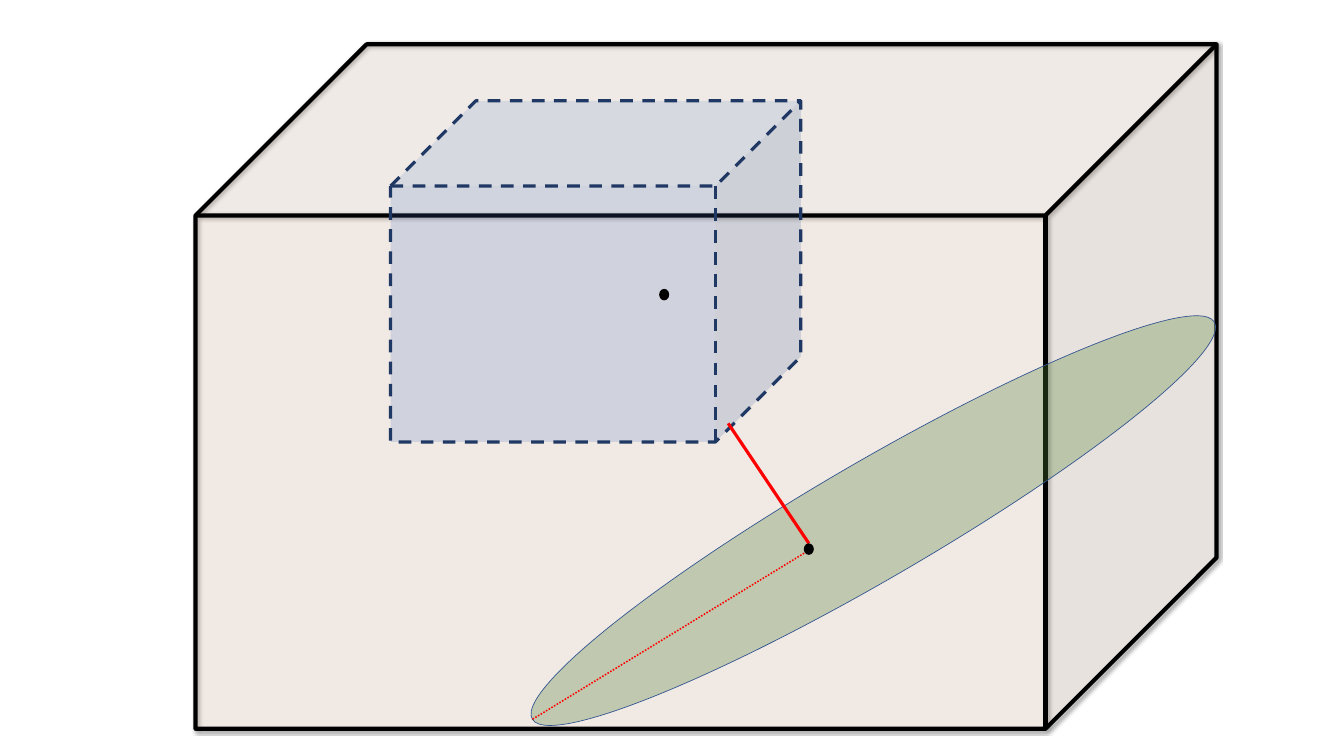
from dataclasses import dataclass

from lxml.etree import SubElement
from pptx import Presentation
from pptx.dml.color import RGBColor
from pptx.enum.dml import MSO_LINE as DASH
from pptx.enum.shapes import MSO_CONNECTOR as CONN, MSO_SHAPE as SHAPE
from pptx.oxml.ns import qn
from pptx.util import Inches, Pt


@dataclass(frozen=True)
class Theme:
    black: str = "000000"
    block: str = "F8CBAD"
    inner: str = "4472C4"
    inner_edge: str = "203864"
    disc: str = "548235"
    disc_edge: str = "325491"
    ray: str = "FF0000"


class Diagram:
    """Draws on one slide; places and sizes are percentages of the slide."""

    def __init__(self, prs, theme):
        self.width, self.height = prs.slide_width, prs.slide_height
        self.theme = theme
        self.slide = prs.slides.add_slide(prs.slide_layouts[6])

    def x(self, share):
        return round(self.width * share / 100)

    def y(self, share):
        return round(self.height * share / 100)

    def stroke(self, line, color, points, dash=None):
        line.color.rgb = RGBColor.from_string(color)
        line.width = Pt(points)
        if dash:
            line.dash_style = dash

    def shape(self, kind, left, top, width, height, fill, opacity=100, edge=None):
        s = self.slide.shapes.add_shape(
            kind, self.x(left), self.y(top), self.x(width), self.y(height))
        s.shadow.inherit = False
        s.fill.solid()
        s.fill.fore_color.rgb = RGBColor.from_string(fill)
        if opacity < 100:
            color = s.element.spPr.find(qn("a:solidFill")).find(qn("a:srgbClr"))
            SubElement(color, qn("a:alpha"), val=str(opacity * 1000))
        if edge:
            self.stroke(s.line, *edge)
        else:
            s.line.fill.background()
        return s

    def cast_shadow(self, s, blur, distance, angle, opacity):
        effects = s.element.spPr.find(qn("a:effectLst"))
        shadow = SubElement(
            effects, qn("a:outerShdw"), blurRad=str(Pt(blur)), dist=str(Pt(distance)),
            dir=str(angle * 60000), algn="tl", rotWithShape="0")
        color = SubElement(shadow, qn("a:srgbClr"), val=self.theme.black)
        SubElement(color, qn("a:alpha"), val=str(opacity * 1000))

    def line(self, start, end, points, dash=None):
        (x1, y1), (x2, y2) = start, end
        c = self.slide.shapes.add_connector(
            CONN.STRAIGHT, self.x(x1), self.y(y1), self.x(x2), self.y(y2))
        self.stroke(c.line, self.theme.ray, points, dash)
        SubElement(c.element.spPr, qn("a:effectLst"))

    def dot(self, x, y, width=0.75, height=1.53):
        self.shape(SHAPE.OVAL, x - width / 2, y - height / 2, width, height,
                   self.theme.black)


def main():
    prs = Presentation()
    prs.slide_width, prs.slide_height = Inches(26.67), Inches(15)
    theme = Theme()
    d = Diagram(prs, theme)

    block = d.shape(SHAPE.CUBE, 14.55, 5.87, 75.97, 90.53, theme.block, 16,
                    (theme.black, 6))
    d.cast_shadow(block, blur=4, distance=3, angle=45, opacity=40)
    d.shape(SHAPE.CUBE, 29.06, 13.33, 30.52, 45.13, theme.inner, 18,
            (theme.inner_edge, 4.5, DASH.DASH))
    disc = d.shape(SHAPE.OVAL, 35.62, 61.13, 58.72, 15.47, theme.disc, 30,
                   (theme.disc_edge, 1))
    disc.rotation = 329.8

    d.line((54.18, 56), (60.18, 71.87), 4.5)
    d.line((39.63, 95.13), (60.18, 72.8), 2.25, DASH.ROUND_DOT)
    d.dot(60.18, 72.63)
    d.dot(49.42, 38.97)

    prs.save("out.pptx")


if __name__ == "__main__":
    main()
